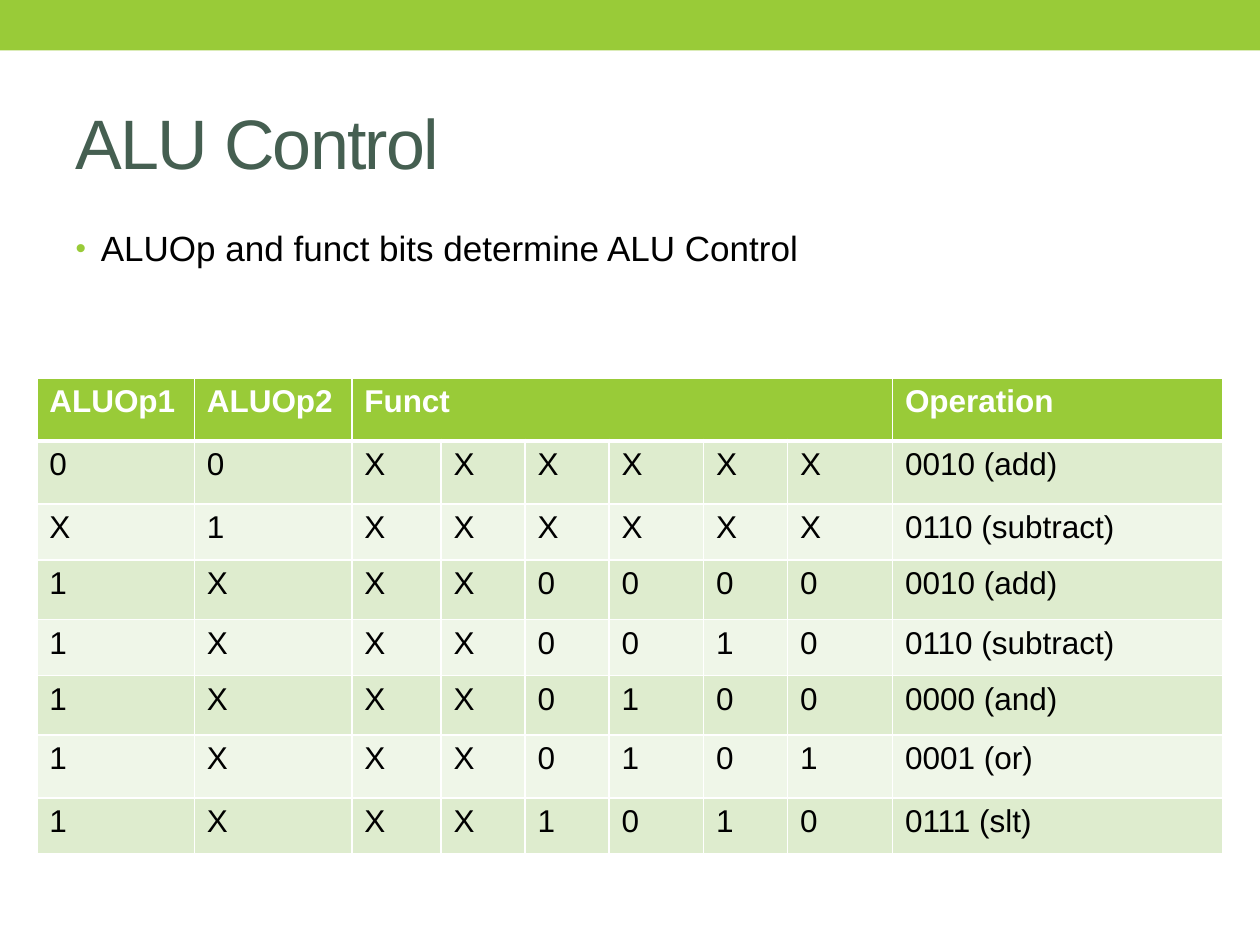
from lxml.etree import SubElement
from pptx import Presentation
from pptx.dml.color import RGBColor
from pptx.enum.shapes import MSO_SHAPE as SHAPE
from pptx.enum.text import MSO_ANCHOR as ANCHOR, PP_ALIGN as ALIGN
from pptx.oxml.ns import qn
from pptx.util import Pt

GREEN = RGBColor(0x99, 0xCB, 0x38)
SLATE = RGBColor(0x45, 0x5F, 0x51)
BLACK = RGBColor(0, 0, 0)
WHITE = RGBColor(0xFF, 0xFF, 0xFF)
BANDS = [RGBColor(0xDE, 0xEC, 0xCE), RGBColor(0xEF, 0xF6, 0xE8)]
FONT = "Arial"

COLUMNS = [90, 90, 51, 48, 48, 54, 48, 60, 189]
ROWS = [36, 36, 32, 34, 32, 34, 36, 32]
HEADER = ["ALUOp1", "ALUOp2", "Funct", "", "", "", "", "", "Operation"]
TRUTH_TABLE = [
    ("00XXXXXX", "0010 (add)"),
    ("X1XXXXXX", "0110 (subtract)"),
    ("1XXX0000", "0010 (add)"),
    ("1XXX0010", "0110 (subtract)"),
    ("1XXX0100", "0000 (and)"),
    ("1XXX0101", "0001 (or)"),
    ("1XXX1010", "0111 (slt)"),
]


def place(sp, left, top, width, height):
    """Move and size a shape, in points."""
    sp.left, sp.top, sp.width, sp.height = map(Pt, (left, top, width, height))


def format_runs(p, size, color, bold=False):
    """Apply the slide font to every run of a paragraph."""
    for r in p.runs:
        r.font.name = FONT
        r.font.size = Pt(size)
        r.font.bold = bold
        r.font.color.rgb = color


def add_band(s, left, top, width, height):
    """Draw the coloured band inside the given box."""
    sp = s.shapes.add_shape(SHAPE.RECTANGLE, Pt(left), Pt(top), Pt(width), Pt(height))
    sp.shadow.inherit = False
    sp.fill.solid()
    sp.fill.fore_color.rgb = GREEN
    sp.line.fill.background()


def fill_title(s, text, *box):
    """Place and format the title."""
    sp = s.shapes.title
    place(sp, *box)
    tf = sp.text_frame
    tf.text = text
    tf.vertical_anchor = ANCHOR.MIDDLE
    p = tf.paragraphs[0]
    p.alignment = ALIGN.LEFT
    format_runs(p, 40, SLATE)
    p.runs[0].font._element.set("spc", "-100")


def add_bullet(p):
    """Give a paragraph a hanging green bullet."""
    pPr = p._p.get_or_add_pPr()
    pPr.set("marL", str(Pt(14.4)))
    pPr.set("indent", str(-Pt(14.4)))
    color = SubElement(pPr, qn("a:buClr"))
    SubElement(color, qn("a:srgbClr"), val=str(GREEN))
    SubElement(pPr, qn("a:buSzPct"), val="85000")
    SubElement(pPr, qn("a:buFont"), typeface=FONT)
    SubElement(pPr, qn("a:buChar"), char="•")


def fill_body(s, text, *box):
    """Place the body and its bullet."""
    sp = s.placeholders[1]
    place(sp, *box)
    sp.text_frame.text = text
    p = sp.text_frame.paragraphs[0]
    p.space_before = Pt(4)
    add_bullet(p)
    format_runs(p, 20, BLACK)


def set_borders(cell, bottom):
    """Draw white borders, with the given bottom width."""
    tcPr = cell._tc.get_or_add_tcPr()
    for side, width in (("L", 1), ("R", 1), ("T", 1), ("B", bottom)):
        ln = SubElement(tcPr, qn(f"a:ln{side}"), w=str(Pt(width)))
        fill = SubElement(ln, qn("a:solidFill"))
        SubElement(fill, qn("a:srgbClr"), val=str(WHITE))


def add_control_table(s, left, top):
    """Build the ALU control truth table from its top left corner."""
    frame = s.shapes.add_table(len(ROWS), len(COLUMNS), Pt(left), Pt(top),
                               Pt(sum(COLUMNS)), Pt(sum(ROWS)))
    table = frame.table
    for column, width in zip(table.columns, COLUMNS):
        column.width = Pt(width)
    for row, height in zip(table.rows, ROWS):
        row.height = Pt(height)
    lines = [HEADER] + [[*bits, operation] for bits, operation in TRUTH_TABLE]
    for i, line in enumerate(lines):
        head = i == 0
        for j, text in enumerate(line):
            cell = table.cell(i, j)
            cell.text = text
            format_runs(cell.text_frame.paragraphs[0], 18, WHITE if head else BLACK, head)
            set_borders(cell, 3 if head else 1)
            cell.fill.solid()
            cell.fill.fore_color.rgb = GREEN if head else BANDS[(i - 1) % 2]
    table.cell(0, 2).merge(table.cell(0, 7))


def main():
    """Build and save the slide."""
    prs = Presentation()
    prs.slide_width, prs.slide_height = Pt(720), Pt(540)
    s = prs.slides.add_slide(prs.slide_layouts[1])
    add_band(s, 0, 0, 720, 28.8)
    fill_title(s, "ALU Control", 36, 42, 648, 78)
    fill_body(s, "ALUOp and funct bits determine ALU Control", 36, 126, 648, 384)
    add_control_table(s, 21, 216)
    prs.save("out.pptx")


if __name__ == "__main__":
    main()
